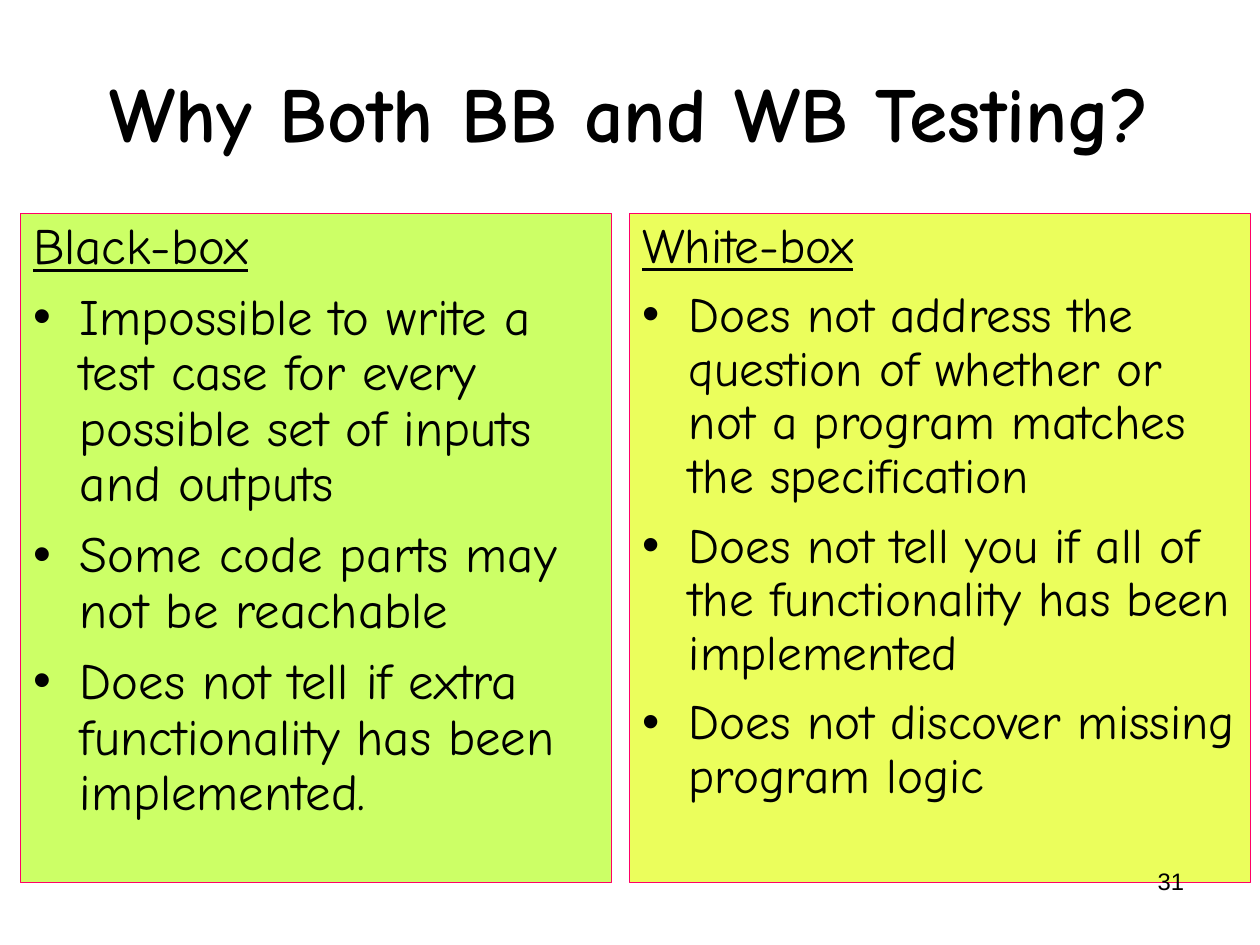
"""Build a slide that compares the limits of black-box and white-box testing."""
from lxml.etree import SubElement
from pptx import Presentation
from pptx.dml.color import RGBColor
from pptx.enum.text import MSO_ANCHOR as Anchor, MSO_AUTO_SIZE as AutoSize, PP_ALIGN as Align
from pptx.oxml.ns import qn
from pptx.util import Pt

TITLE = "Why Both BB and WB Testing?"
PAGE_NUMBER = "31"
COLORS = {"text": "000000", "edge": "FF0066", "black_box": "CCFF66", "white_box": "EBFE5C"}
PANELS = [
    {
        "heading": "Black-box",
        "points": [
            "Impossible to write a test case for every possible set of inputs and outputs",
            "Some code parts may not be reachable",
            "Does not tell if extra functionality has been implemented.",
        ],
        "fill": "black_box", "size": 32, "left": 13, "width": 372.2,
    },
    {
        "heading": "White-box",
        "points": [
            "Does not address the question of whether or not a program matches the specification",
            "Does not tell you if all of the functionality has been implemented",
            "Does not discover missing program logic",
        ],
        "fill": "white_box", "size": 31, "left": 396.7, "width": 391,
    },
]
SLIDE_WIDTH, SLIDE_HEIGHT = 793.75, 595.25
PANEL_TOP, PANEL_HEIGHT = 134.6, 421.2
HANGING, LINE_SPACING, SPACE_BEFORE = 29.5, 0.91, 9.8


def color(name):
    return RGBColor.from_string(COLORS[name])


def prepare(box, left, top, width, height, anchor=Anchor.TOP):
    box.left, box.top, box.width, box.height = map(Pt, (left, top, width, height))
    frame = box.text_frame
    frame.word_wrap = True
    frame.auto_size = AutoSize.NONE
    frame.vertical_anchor = anchor
    frame.margin_left = frame.margin_right = Pt(7.8)
    frame.margin_top = frame.margin_bottom = Pt(4)
    return frame


def set_bullet(para, bulleted):
    properties = para._p.get_or_add_pPr()
    properties.set("marL", str(Pt(HANGING)))
    properties.set("indent", str(-Pt(HANGING)))
    if bulleted:
        bullet_color = SubElement(properties, qn("a:buClr"))
        SubElement(bullet_color, qn("a:srgbClr"), val=COLORS["text"])
        SubElement(properties, qn("a:buFont"), typeface="Arial")
        SubElement(properties, qn("a:buChar"), char="•")
    else:
        SubElement(properties, qn("a:buNone"))


def write(para, text, size, font="Comic Neue", bold=False, underline=False,
          align=Align.LEFT, spacing=LINE_SPACING, before=0):
    para.alignment = align
    para.line_spacing = spacing
    para.space_before = Pt(before)
    span = para.add_run()
    span.text = text
    span.font.name = font
    span.font.size = Pt(size)
    span.font.bold = bold
    span.font.underline = underline
    span.font.color.rgb = color("text")


def fill_panel(box, panel):
    frame = prepare(box, panel["left"], PANEL_TOP, panel["width"], PANEL_HEIGHT)
    box.fill.solid()
    box.fill.fore_color.rgb = color(panel["fill"])
    box.line.color.rgb = color("edge")
    box.line.width = Pt(0.75)
    heading = frame.paragraphs[0]
    set_bullet(heading, False)
    write(heading, panel["heading"], panel["size"], underline=True)
    for point in panel["points"]:
        para = frame.add_paragraph()
        set_bullet(para, True)
        write(para, point, panel["size"], before=SPACE_BEFORE)


def main():
    deck = Presentation()
    deck.slide_width, deck.slide_height = Pt(SLIDE_WIDTH), Pt(SLIDE_HEIGHT)
    page = deck.slides.add_slide(deck.slide_layouts.get_by_name("Two Content"))
    title, *bodies = page.placeholders
    frame = prepare(title, 39.6, -3.6, 713.5, 154.1, Anchor.MIDDLE)
    write(frame.paragraphs[0], TITLE, 49, bold=True, align=Align.CENTER)
    for box, panel in zip(bodies, PANELS):
        fill_panel(box, panel)
    number = page.shapes.add_textbox(0, 0, 0, 0)
    frame = prepare(number, 568.8, 542.2, 185, 41)
    write(frame.paragraphs[0], PAGE_NUMBER, 15, font="Arial", align=Align.RIGHT, spacing=1.0)
    deck.save("out.pptx")


if __name__ == "__main__":
    main()
